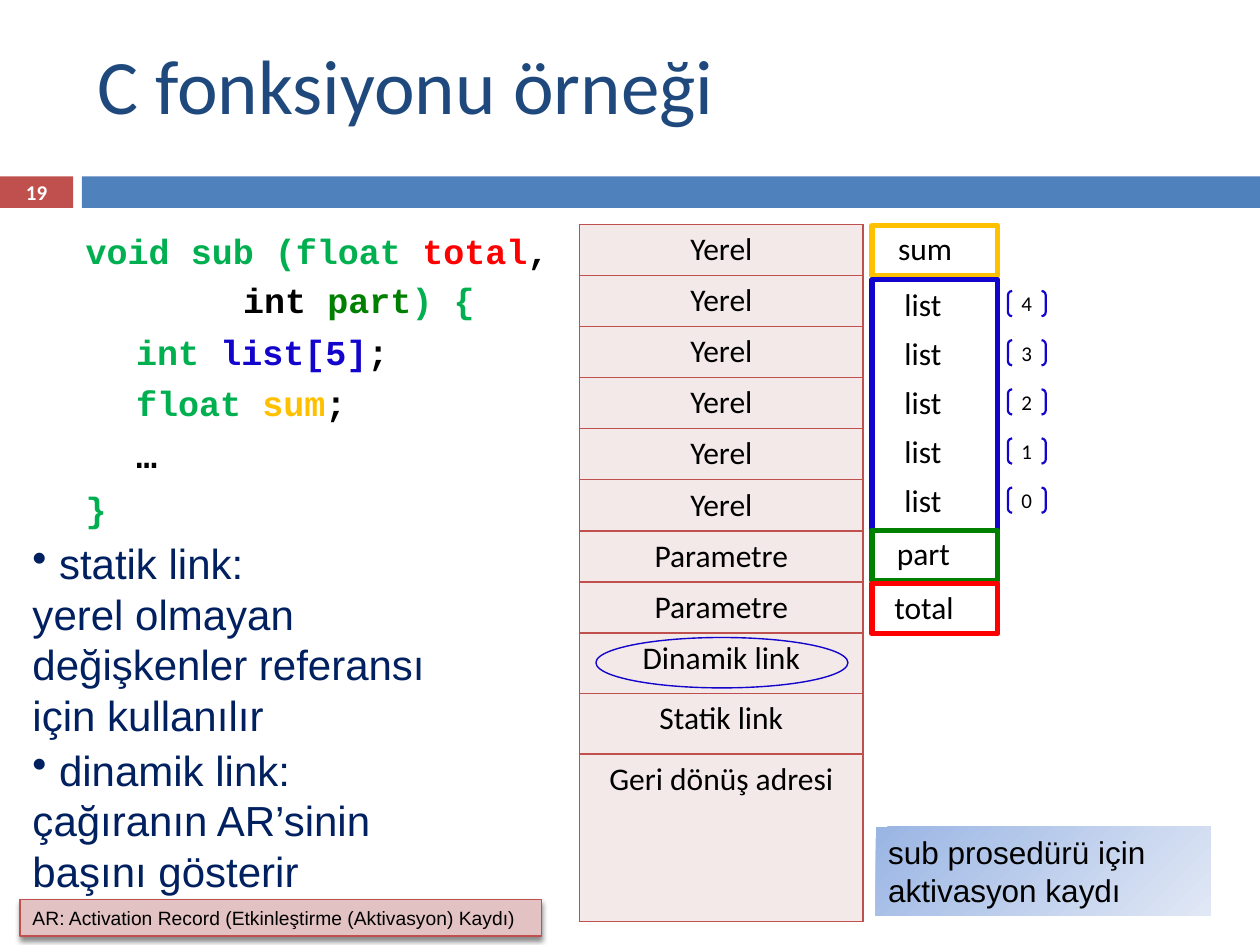
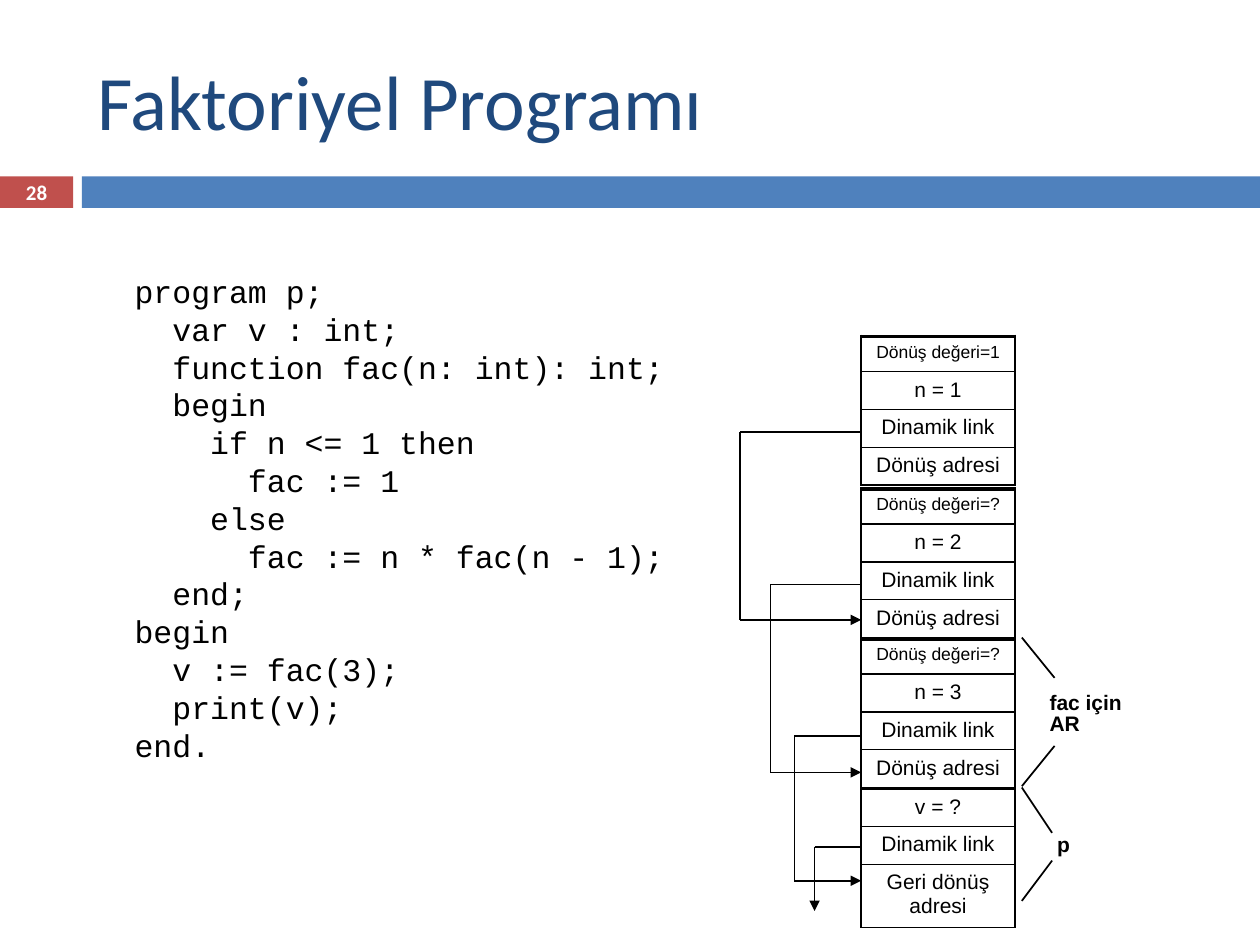
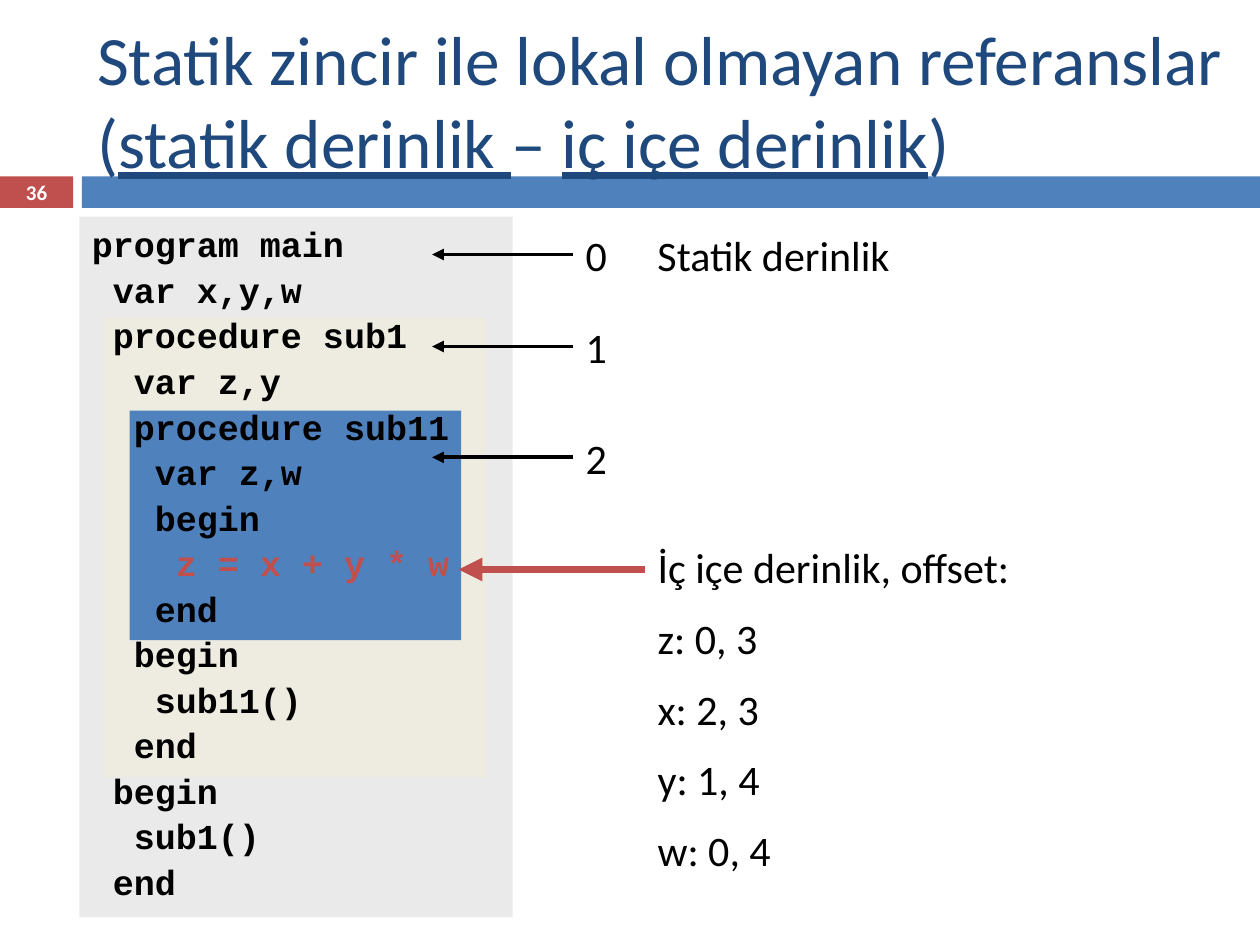
from dataclasses import dataclass
from itertools import pairwise

from lxml.etree import SubElement
from pptx import Presentation
from pptx.dml.color import RGBColor
from pptx.enum.shapes import MSO_CONNECTOR as Connector, MSO_SHAPE as Shape
from pptx.enum.text import MSO_ANCHOR as Anchor, MSO_AUTO_SIZE as AutoSize, PP_ALIGN as Align
from pptx.oxml.ns import qn
from pptx.util import Inches, Pt

COLUMNS, ROWS = 100, 75
SLIDE_WIDTH, SLIDE_HEIGHT = Inches(10), Inches(7.5)


@dataclass(frozen=True)
class Theme:
    """Colours, fonts and type sizes of the deck."""
    sans: str = "Calibri"
    label: str = "Arial"
    mono: str = "Courier New"
    title: str = "1F497D"
    blue: str = "4F81BD"
    red: str = "C0504D"
    black: str = "000000"
    white: str = "FFFFFF"
    navy: str = "002060"
    keyword: str = "00B050"
    second_argument: str = "008000"
    first_argument: str = "FF0000"
    array: str = "1204CC"
    local_sum: str = "FFC000"
    record: str = "F4E9E9"
    note: str = "E2C2C2"
    gradient: tuple = ("9AB5E4", "E1E8F5")
    outer: str = "EAEAEA"
    middle: str = "EEECE1"
    title_size: float = 44
    long_title_size: float = 39.6
    large: float = 24
    code_size: float = 20
    medium: float = 18
    small: float = 12
    footnote: float = 11
    tiny: float = 10


THEME = Theme()


@dataclass(frozen=True)
class Box:
    """A region measured in grid columns and rows."""
    left: float
    top: float
    width: float
    height: float

    def inner(self, column, row, width, height):
        """Return a region offset from this one's corner."""
        return Box(self.left + column, self.top + row, width, height)

    def emu(self):
        """Return left, top, width and height in slide units."""
        return across(self.left), down(self.top), across(self.width), down(self.height)


def across(columns):
    """Convert grid columns to a length."""
    return round(SLIDE_WIDTH * columns / COLUMNS)


def down(rows):
    """Convert grid rows to a length."""
    return round(SLIDE_HEIGHT * rows / ROWS)


def rgb(value):
    """Turn a hex string into a colour."""
    return RGBColor.from_string(value)


def write(frame, lines, size, face=THEME.sans, color=THEME.black, bold=False,
          align=Align.LEFT, anchor=Anchor.TOP, gap=0, wrap=True):
    """Fill a frame with lines, each a string or (text, colour) pieces."""
    frame.text = "\n".join(line if isinstance(line, str) else "" for line in lines)
    frame.word_wrap = wrap
    frame.auto_size = AutoSize.NONE
    frame.vertical_anchor = anchor
    for index, (paragraph, line) in enumerate(zip(frame.paragraphs, lines)):
        paragraph.alignment = align
        paragraph.space_before = Pt(gap if index else 0)
        pieces = [(line, color)] if isinstance(line, str) else line
        for text, _ in pieces[len(paragraph.runs):]:
            paragraph.add_run().text = text
        for run, (_, tint) in zip(paragraph.runs, pieces):
            font = run.font
            font.name, font.size, font.bold = face, Pt(size), bold
            font.color.rgb = rgb(tint)


def margins(frame, horizontal, vertical):
    """Set the insets of a frame in grid units."""
    frame.margin_left = frame.margin_right = across(horizontal)
    frame.margin_top = frame.margin_bottom = down(vertical)


def add_text(slide, box, lines, size, **style):
    """Add a text box and return its frame."""
    frame = slide.shapes.add_textbox(*box.emu()).text_frame
    write(frame, lines, size, **style)
    return frame


def add_shape(slide, kind, box, fill=None, line=None, weight=1):
    """Add a preset shape without shadow."""
    shape = slide.shapes.add_shape(kind, *box.emu())
    shape.shadow.inherit = False
    if fill:
        shape.fill.solid()
        shape.fill.fore_color.rgb = rgb(fill)
    else:
        shape.fill.background()
    if line:
        shape.line.color.rgb = rgb(line)
        shape.line.width = Pt(weight)
    else:
        shape.line.fill.background()
    return shape


def add_line(slide, start, end, color=THEME.black, weight=1, arrow=False):
    """Draw a straight line between two grid points."""
    line = slide.shapes.add_connector(
        Connector.STRAIGHT, across(start[0]), down(start[1]), across(end[0]), down(end[1]))
    line.line.color.rgb = rgb(color)
    line.line.width = Pt(weight)
    properties = line._element.spPr
    if arrow:
        SubElement(properties.find(qn("a:ln")), qn("a:tailEnd"), type="triangle")
    SubElement(properties, qn("a:effectLst"))


def add_route(slide, points):
    """Draw a bent line that ends in an arrowhead."""
    for start, end in pairwise(points):
        add_line(slide, start, end, arrow=end == points[-1])


def set_border(cell, color, weights):
    """Draw the left, right, top and bottom borders of a cell."""
    properties = cell._tc.get_or_add_tcPr()
    for side, weight in zip("LRTB", weights):
        edge = SubElement(properties, qn(f"a:ln{side}"), w=str(Pt(weight)))
        SubElement(SubElement(edge, qn("a:solidFill")), qn("a:srgbClr"), val=color)


def add_stack(slide, box, entries, heights, border, fill, face, size,
              first_size=None, top_weight=1):
    """Add a one-column table of stacked record entries."""
    table = slide.shapes.add_table(len(entries), 1, *box.emu()).table
    table.first_row = table.horz_banding = False
    for index, (entry, height) in enumerate(zip(entries, heights)):
        table.rows[index].height = down(height)
        cell = table.cell(index, 0)
        set_border(cell, border, (1, 1, 1 if index else top_weight, 1))
        cell.fill.solid()
        cell.fill.fore_color.rgb = rgb(fill)
        entry_size = first_size if first_size and not index else size
        write(cell.text_frame, [entry], entry_size, face=face, align=Align.CENTER)


def set_indent(paragraph, columns, bullet=None):
    """Set the left margin of a paragraph and its bullet."""
    properties = paragraph._p.get_or_add_pPr()
    properties.set("marL", str(across(columns)))
    properties.set("indent", "0")
    if bullet:
        SubElement(properties, qn("a:buChar"), char=bullet)
    else:
        SubElement(properties, qn("a:buNone"))


def add_bands(deck, slide):
    """Place the two coloured bands on the slide master."""
    tree = deck.slide_master.shapes._spTree
    for box, fill in ((Box(0, 14, 5.8, 2.5), THEME.red), (Box(6.5, 14, 93.5, 2.5), THEME.blue)):
        tree.insert(2, add_shape(slide, Shape.RECTANGLE, box, fill)._element)


def add_heading(slide, title, number, width=89.2, size=THEME.title_size, anchor=Anchor.MIDDLE):
    """Fill the title and the number beside the band."""
    heading = slide.shapes.title
    heading.left, heading.top, heading.width, heading.height = Box(6.7, 2.5, width, 10.8).emu()
    write(heading.text_frame, [title], size, color=THEME.title, anchor=anchor)
    add_text(slide, Box(0, 13.9, 5.8, 2.7), [number], THEME.small, color=THEME.white,
             bold=True, align=Align.CENTER, anchor=Anchor.MIDDLE)


def fill_function_code(slide, box):
    """Write the C function in the body placeholder."""
    key, black = THEME.keyword, THEME.black
    lines = [
        (0, 0, [("void sub (float ", key), ("total", THEME.first_argument), (",", black)]),
        (12.5, 4, [("int ", black), ("part", THEME.second_argument), (") {", key)]),
        (4, 5.5, [("int ", key), ("list[5]", THEME.array), (";", black)]),
        (4, 5.5, [("float ", key), ("sum", THEME.local_sum), (";", black)]),
        (4, 5.5, [("…", black)]),
        (0, 7, [("}", key)]),
    ]
    body = slide.placeholders[1]
    body.left, body.top, body.width, body.height = box.emu()
    write(body.text_frame, [pieces for _, _, pieces in lines], THEME.code_size,
          face=THEME.mono, bold=True)
    for paragraph, (indent, gap, _) in zip(body.text_frame.paragraphs, lines):
        paragraph.space_before = Pt(gap)
        set_indent(paragraph, indent)


def add_variables(slide, box):
    """Frame the variables beside the record and number the list items."""
    frames = ((0, 4, THEME.local_sum), (4.3, 20, THEME.array),
              (24.2, 4, THEME.second_argument), (28.4, 4, THEME.first_argument))
    for row, height, color in frames:
        add_shape(slide, Shape.RECTANGLE, box.inner(0, row, box.width, height),
                  THEME.white, color, 3)
    for name, column, row in (("sum", 1.1, -0.2), ("part", 1, 24), ("total", 0.8, 28.3)):
        add_text(slide, box.inner(column, row, 7, 4), [name], THEME.medium)
    for step, index in enumerate("43210"):
        row = 4.2 + 3.9 * step
        add_text(slide, box.inner(1.6, row, 5.1, 4), ["list"], THEME.medium)
        bracket = add_shape(slide, Shape.DOUBLE_BRACKET, box.inner(10.8, row + 1, 3, 2),
                            line=THEME.array, weight=1.25)
        write(bracket.text_frame, [index], THEME.small, align=Align.CENTER,
              anchor=Anchor.MIDDLE, wrap=False)
        margins(bracket.text_frame, 0, 0)


def add_link_notes(slide, box):
    """Explain the static and the dynamic link."""
    notes = (
        (0, 17.2, [" statik link:", "yerel olmayan değişkenler referansı için kullanılır"]),
        (16.4, 13.1, [" dinamik link: çağıranın AR’sinin başını gösterir"]),
    )
    for row, height, lines in notes:
        frame = add_text(slide, box.inner(0, row, box.width, height), lines, THEME.large,
                         face=THEME.label, color=THEME.navy)
        set_indent(frame.paragraphs[0], 0, "•")


def add_captions(slide, caption_box, footnote_box):
    """Add the record caption and the abbreviation note."""
    caption = add_shape(slide, Shape.RECTANGLE, caption_box)
    caption.fill.gradient()
    caption.fill.gradient_angle = 315
    for stop, color in zip(caption.fill.gradient_stops, THEME.gradient):
        stop.color.rgb = rgb(color)
    write(caption.text_frame, ["sub prosedürü için aktivasyon kaydı"], THEME.medium,
          face=THEME.label)
    footnote = add_shape(slide, Shape.RECTANGLE, footnote_box, THEME.note, THEME.red, 0.8)
    effects = footnote._element.spPr.find(qn("a:effectLst"))
    shadow = SubElement(effects, qn("a:outerShdw"), blurRad=str(Pt(3)), dist=str(Pt(2.4)),
                        dir="5400000", rotWithShape="0")
    SubElement(SubElement(shadow, qn("a:srgbClr"), val=THEME.black), qn("a:alpha"), val="45000")
    write(footnote.text_frame, ["AR: Activation Record (Etkinleştirme (Aktivasyon) Kaydı)"],
          THEME.footnote, face=THEME.label)


def build_function_slide(slide):
    """Show a C function and its activation record."""
    add_heading(slide, "C fonksiyonu örneği", "19", anchor=Anchor.TOP)
    fill_function_code(slide, Box(5.8, 17.7, 40, 24.5))
    entries = ["Yerel"] * 6 + ["Parametre"] * 2 + [
        "Dinamik link", "Statik link", "Geri dönüş adresi"]
    record = Box(46, 17.8, 22.5, 55.3)
    add_stack(slide, record, entries, [4.05] * 8 + [4.8] * 2 + [13.3],
              THEME.red, THEME.record, THEME.sans, THEME.medium)
    add_shape(slide, Shape.OVAL, record.inner(1.3, 32.8, 20, 4), line=THEME.array, weight=0.8)
    add_variables(slide, Box(69.2, 17.9, 10, 32.4))
    add_link_notes(slide, Box(1.6, 42.2, 36, 29.5))
    add_captions(slide, Box(69.5, 65.6, 26.6, 7.1), Box(1.6, 71.4, 41.4, 2.9))


def add_call_stack(slide, box):
    """Stack the records of the recursive calls above the main program."""
    calls = ((0, "1", "1"), (12.1, "?", "2"), (24, "?", "3"))
    for row, result, argument in calls:
        entries = [f"Dönüş değeri={result}", f"n = {argument}", "Dinamik link", "Dönüş adresi"]
        add_stack(slide, box.inner(0, row, box.width, 11.8), entries, [2.8, 3, 3, 3],
                  THEME.black, THEME.white, THEME.label, THEME.small, THEME.tiny, 2.25)
    add_stack(slide, box.inner(0, 35.9, box.width, 11), ["v = ?", "Dinamik link",
              "Geri dönüş adresi"], [3, 3, 5], THEME.black, THEME.white, THEME.label,
              THEME.small, top_weight=2.25)


def add_dynamic_links(slide, box):
    """Route each dynamic link to the record of its caller."""
    side = box.left
    for offset, start, end in ((9.6, 7.6, 22.5), (7.2, 19.7, 34.6), (5.3, 31.7, 43.2)):
        start, end = box.top + start, box.top + end
        add_route(slide, [(side, start), (side - offset, start), (side - offset, end), (side, end)])
    start = box.top + 40.5
    add_route(slide, [(side, start), (side - 3.7, start), (side - 3.7, start + 5.1)])


def add_owner(slide, box, lines, label, arm):
    """Point from a name to the top and bottom of its records."""
    bottom = box.top + box.height
    tip = box.left + box.width
    add_line(slide, (box.left, box.top), (tip, box.top + arm))
    add_line(slide, (box.left, bottom), (tip, bottom - 3.2))
    frame = add_text(slide, label, lines, THEME.small, face=THEME.label, bold=True, wrap=False)
    margins(frame, 0.5, 0.2)
    for paragraph in frame.paragraphs:
        paragraph.line_spacing = 0.85


def build_factorial_slide(slide):
    """Show the factorial program and its call stack."""
    add_heading(slide, "Faktoriyel Programı", "28")
    program = [
        "program p;", "  var v : int;", "  function fac(n: int): int;", "  begin",
        "    if n <= 1 then", "      fac := 1", "    else", "      fac := n * fac(n - 1);",
        "  end;", "begin", "  v := fac(3);", "  print(v);", "end.",
    ]
    add_text(slide, Box(9.7, 21.1, 50, 52.3), program, THEME.medium, face=THEME.mono)
    stack = Box(68.35, 26.7, 12.2, 46.9)
    add_call_stack(slide, stack)
    add_dynamic_links(slide, stack)
    add_owner(slide, Box(81.1, 50.6, 2.6, 11.8), ["fac için", "AR"], Box(82.8, 54.8, 7.2, 3.8), 3.2)
    add_owner(slide, Box(81.1, 62.5, 2.4, 9), ["p"], Box(83.4, 66.1, 1.9, 2.1), 3.6)


def add_nested_program(slide, box):
    """Write the nested program over the blocks of its scopes."""
    scopes = ((0, 0, 34.4, 55.6, THEME.outer), (2, 8, 30.3, 36.5, THEME.middle),
              (4, 15.4, 26.3, 18.2, THEME.blue))
    for column, row, width, height, fill in scopes:
        add_shape(slide, Shape.RECTANGLE, box.inner(column, row, width, height), fill)
    program = [
        "program main", " var x,y,w", " procedure sub1", "  var z,y", "  procedure sub11",
        "   var z,w", "   begin", [("    ", THEME.black), ("z = x + y * w", THEME.red)],
        "   end", "  begin", "   sub11()", "  end", " begin", "  sub1()", " end",
    ]
    add_text(slide, box, program, THEME.code_size, face=THEME.mono, bold=True, gap=2)


def add_depths(slide, box):
    """Number the static depths and list the offsets."""
    for depth, row in enumerate((0, 7.3, 16.1)):
        add_text(slide, box.inner(0, row, 5.7, 5), [str(depth)], THEME.large)
        level = box.top + row + 2.5
        add_line(slide, (box.left, level), (box.left - 11.2, level), weight=2.25, arrow=True)
    add_text(slide, box.inner(5.7, 0, 22, 5), ["Statik derinlik"], THEME.large)
    offsets = ["İç içe derinlik, offset:", "z: 0, 3", "x: 2, 3", "y: 1, 4", "w: 0, 4"]
    add_text(slide, box.inner(5.7, 24.8, 40.1, 29.3), offsets, THEME.large, gap=11.6)
    level = box.top + 27.5
    add_line(slide, (box.left + 5.7, level), (box.left - 9.1, level), THEME.red, 4.5, True)


def build_depth_slide(slide):
    """Show static depths and nesting offsets."""
    pieces = ["Statik zincir ile lokal olmayan referanslar (", "statik derinlik ",
              "– ", "iç içe derinlik", ")"]
    add_heading(slide, [(piece, THEME.title) for piece in pieces], "36",
                width=93.3, size=THEME.long_title_size)
    for run in slide.shapes.title.text_frame.paragraphs[0].runs[1::2]:
        run.font.underline = True
    add_nested_program(slide, Box(6.3, 17.2, 39.2, 55.6))
    add_depths(slide, Box(45.5, 17.7, 45.8, 54.1))


def main():
    """Build and save the deck."""
    deck = Presentation()
    deck.slide_width, deck.slide_height = SLIDE_WIDTH, SLIDE_HEIGHT
    with_body, title_only = deck.slide_layouts[1], deck.slide_layouts[5]
    plan = ((with_body, build_function_slide), (title_only, build_factorial_slide),
            (title_only, build_depth_slide))
    for layout, build in plan:
        build(deck.slides.add_slide(layout))
    add_bands(deck, deck.slides[0])
    deck.save("out.pptx")


if __name__ == "__main__":
    main()
